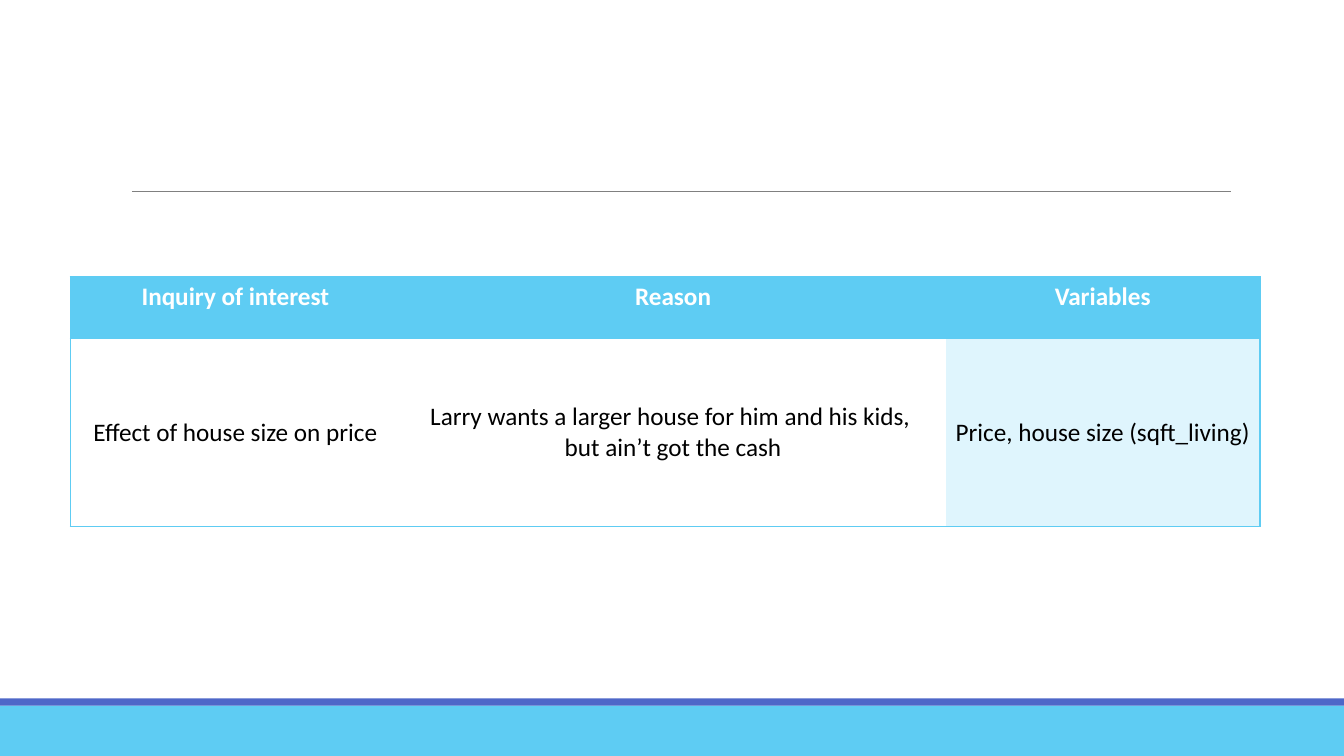
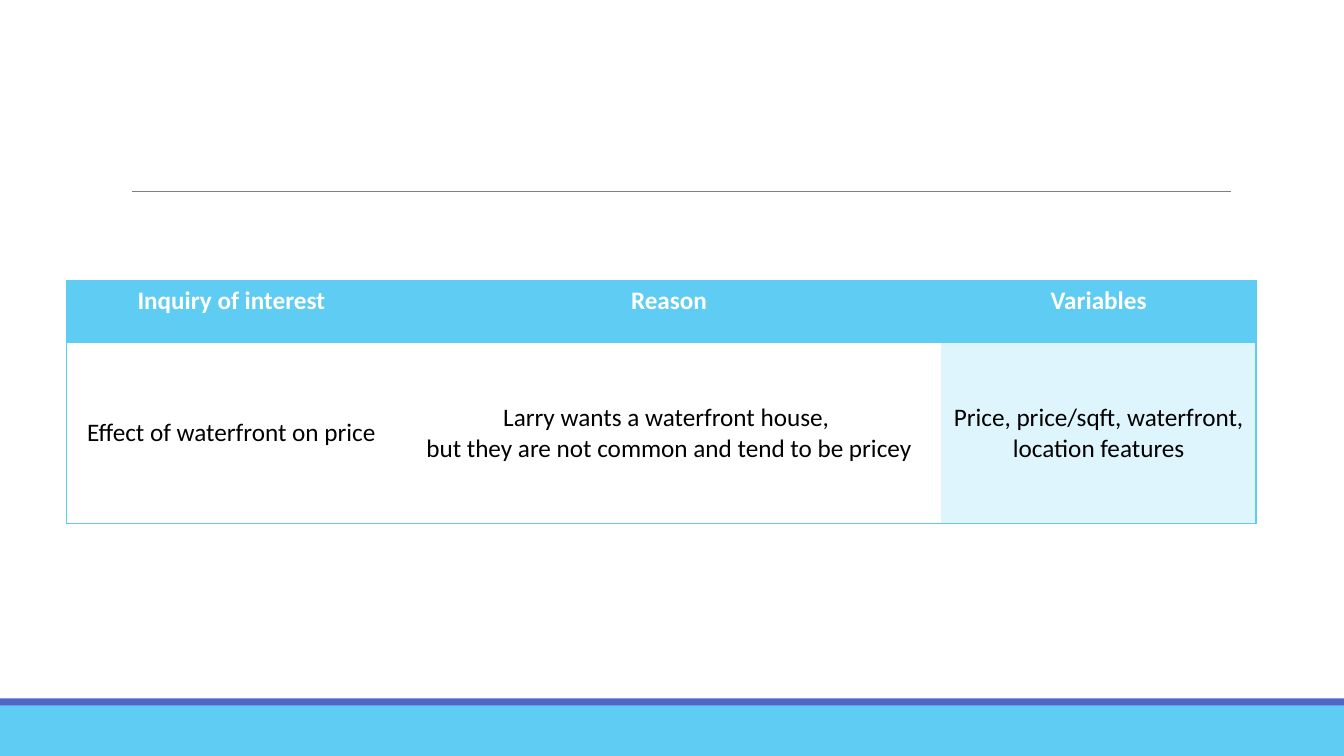
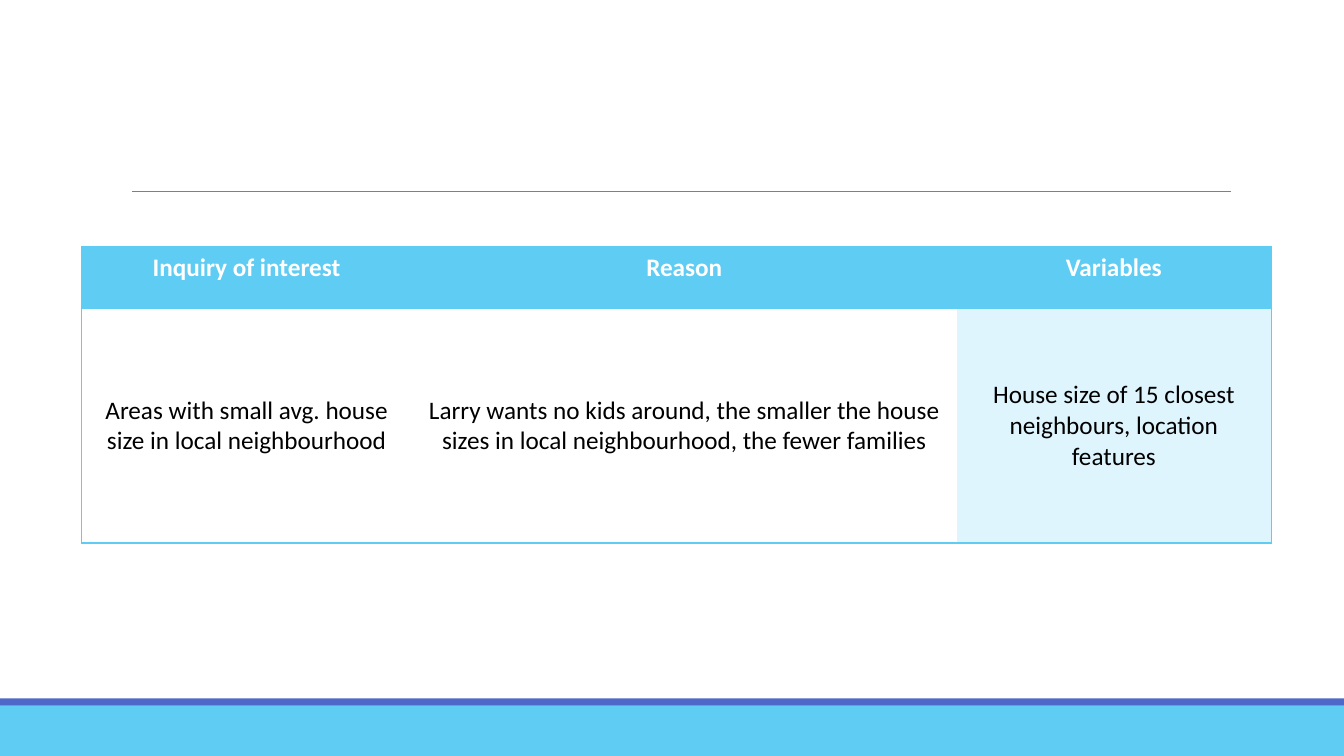
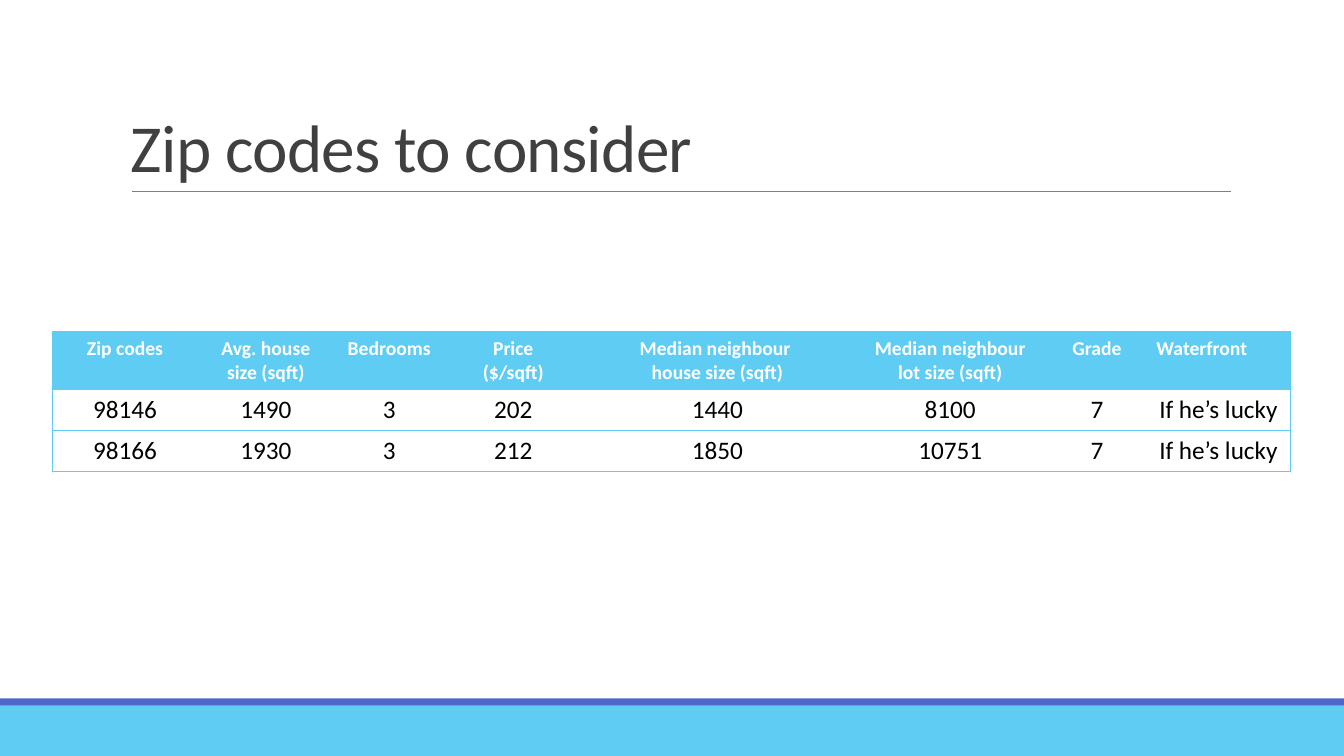
from lxml.etree import SubElement
from pptx import Presentation
from pptx.dml.color import RGBColor
from pptx.enum.shapes import MSO_CONNECTOR, MSO_SHAPE
from pptx.enum.text import MSO_ANCHOR as ANCHOR, PP_ALIGN as ALIGN
from pptx.oxml.ns import qn
from pptx.util import Pt

COLORS = {"sky": "5ECCF3", "indigo": "4E67C8", "pale": "DFF5FD", "rule": "808080",
          "title": "404040", "body": "000000", "white": "FFFFFF"}
FONT = "Calibri"
NO_STYLE = "{2D5ABB26-0587-4C30-8999-92F81FD0307C}"
WIDTH, HEIGHT = 960, 540
BANDS = [(504, 36, "sky"), (498.96, 5.04, "indigo")]

INQUIRY_HEADER = ["Inquiry of interest", "Reason", "Variables"]
INQUIRY_COLUMNS = [236, 389.2, 224.64]
# left, top, height of the answer row, answers
INQUIRIES = [
    (50.2, 197.8, 134.5, [
        "Effect of house size on price",
        "Larry wants a larger house for him and his kids, \vbut ain’t got the cash",
        "Price, house size (sqft_living)"]),
    (47.3, 200.6, 129.4, [
        "Effect of waterfront on price",
        "Larry wants a waterfront house, \vbut they are not common and tend to be pricey",
        "Price, price/sqft, waterfront, location features"]),
    (58.2, 176.4, 167.5, [
        "Areas with small avg. house size in local neighbourhood",
        "Larry wants no kids around, the smaller the house sizes in local "
        "neighbourhood, the fewer families",
        "House size of 15 closest neighbours, location features"]),
]

ZIP_COLUMNS = [103.9, 97.2, 79.2, 97.9, 193.7, 139, 70.6, 103]
ZIP_ROWS = [
    ["Zip codes", "Avg. house size (sqft)", "Bedrooms", "Price\n($/sqft)",
     "Median neighbour \nhouse size (sqft)", "Median neighbour lot size (sqft)",
     "Grade", "Waterfront"],
    ["98146", "1490", "3", "202", "1440", "8100", "7", "If he’s lucky"],
    ["98166", "1930", "3", "212", "1850", "10751", "7", "If he’s lucky"],
]


def write(frame, text, size=18, color="body", bold=False, align=ALIGN.CENTER,
          line_spacing=None, tracking=None):
    """Fill a text frame: newlines part paragraphs, vertical tabs break lines."""
    for index, line in enumerate(text.split("\n")):
        paragraph = frame.add_paragraph() if index else frame.paragraphs[0]
        paragraph.text = line
        paragraph.alignment = align
        paragraph.line_spacing = line_spacing
        for run in paragraph.runs:
            run.font.name, run.font.size, run.font.bold = FONT, Pt(size), bold
            run.font.color.rgb = RGBColor.from_string(COLORS[color])
            if tracking:
                run._r.get_or_add_rPr().set("spc", str(int(tracking * 100)))


def add_grid(slide, left, top, columns, heights, rows, header_size=18,
             anchor=ANCHOR.TOP, tinted_column=None, left_header=None):
    """Add a table with a sky header, an outer frame and lines between rows."""
    frame = slide.shapes.add_table(len(rows), len(columns), Pt(left), Pt(top),
                                   Pt(sum(columns)), Pt(sum(heights)))
    table = frame.table
    frame._element.find(".//" + qn("a:tableStyleId")).text = NO_STYLE
    table.horz_banding = False
    for column, width in zip(table.columns, columns):
        column.width = Pt(width)
    for r, (row, height) in enumerate(zip(rows, heights)):
        table.rows[r].height = Pt(height)
        for c, text in enumerate(row):
            cell = table.cell(r, c)
            header = r == 0
            sides = ["lnL"] * (c == 0) + ["lnR"] * (c == len(row) - 1) + ["lnT", "lnB"]
            for side in sides:
                border = SubElement(cell._tc.get_or_add_tcPr(), qn("a:" + side), w=str(Pt(1)))
                SubElement(SubElement(border, qn("a:solidFill")), qn("a:srgbClr"),
                           val=COLORS["sky"])
            if header or c == tinted_column:
                cell.fill.solid()
                cell.fill.fore_color.rgb = RGBColor.from_string(
                    COLORS["sky" if header else "pale"])
            else:
                cell.fill.background()
            cell.vertical_anchor = ANCHOR.TOP if header else anchor
            write(cell.text_frame, text, size=header_size if header else 18,
                  color="white" if header else "body", bold=header,
                  align=ALIGN.LEFT if header and c == left_header else ALIGN.CENTER)


deck = Presentation()
deck.slide_width, deck.slide_height = Pt(WIDTH), Pt(HEIGHT)
blank = deck.slide_layouts[6]

slides = [deck.slides.add_slide(blank) for _ in range(len(INQUIRIES) + 1)]
for slide in slides:
    for top, height, color in BANDS:
        band = slide.shapes.add_shape(MSO_SHAPE.RECTANGLE, 0, Pt(top), Pt(WIDTH), Pt(height))
        band.shadow.inherit = False
        band.fill.solid()
        band.fill.fore_color.rgb = RGBColor.from_string(COLORS[color])
        band.line.fill.background()
    rule = slide.shapes.add_connector(MSO_CONNECTOR.STRAIGHT, Pt(94.3), Pt(136.8),
                                      Pt(879), Pt(136.8))
    rule.line.color.rgb = RGBColor.from_string(COLORS["rule"])
    rule.line.width = Pt(0.5)
    SubElement(rule._element.spPr, qn("a:effectLst"))

for slide, (left, top, answer_height, answers) in zip(slides, INQUIRIES):
    add_grid(slide, left, top, INQUIRY_COLUMNS, [44, answer_height],
             [INQUIRY_HEADER, answers], anchor=ANCHOR.MIDDLE, tinted_column=2)

zip_slide = slides[-1]
title = zip_slide.shapes.add_textbox(Pt(86.4), Pt(22.3), Pt(792), Pt(114.5)).text_frame
title.word_wrap = True
title.vertical_anchor = ANCHOR.BOTTOM
write(title, "Zip codes to consider", size=48, color="title", align=ALIGN.LEFT,
      line_spacing=0.85, tracking=-0.5)
add_grid(zip_slide, 37.4, 236.9, ZIP_COLUMNS, [41.4, 29.2, 29.2], ZIP_ROWS,
         header_size=14, left_header=7)

deck.save("out.pptx")
